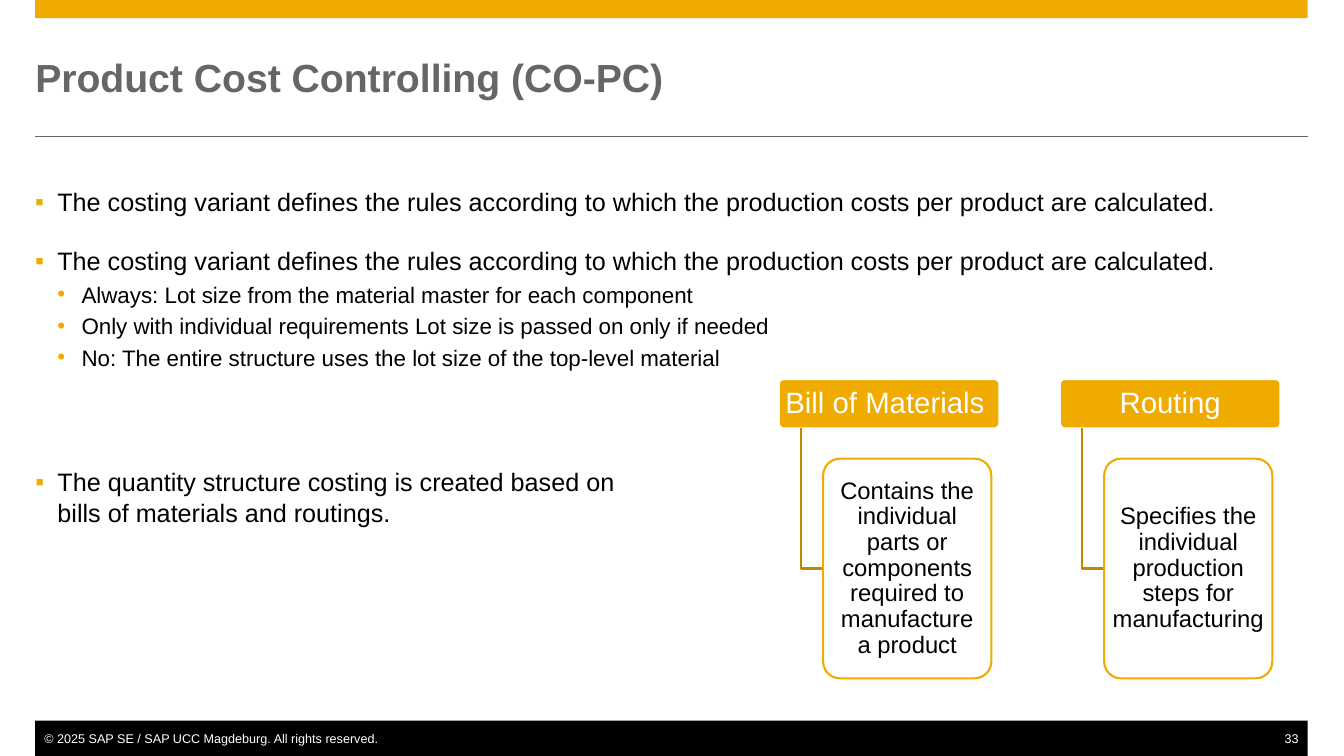
"""Build the Product Cost Controlling slide."""
from dataclasses import dataclass
from typing import Any

from lxml.etree import SubElement
from pptx import Presentation
from pptx.dml.color import RGBColor
from pptx.enum.shapes import MSO_CONNECTOR, MSO_SHAPE
from pptx.enum.text import MSO_ANCHOR, MSO_AUTO_SIZE, PP_ALIGN
from pptx.oxml.ns import qn
from pptx.util import Emu, Pt

EMU_PER_PX = 9144
LEFT, CONTENT_WIDTH = 35, 1263


@dataclass(frozen=True)
class Theme:
    """Colours, font and type sizes in points."""
    font: str = "Arial"
    accent: RGBColor = RGBColor(0xF0, 0xAB, 0x00)
    elbow: RGBColor = RGBColor(0xC0, 0x89, 0x00)
    grey: RGBColor = RGBColor(0x66, 0x66, 0x66)
    black: RGBColor = RGBColor(0, 0, 0)
    white: RGBColor = RGBColor(0xFF, 0xFF, 0xFF)
    title: float = 28
    header: float = 21
    body: float = 18
    detail: float = 17
    sub: float = 16
    footer: float = 9


@dataclass(frozen=True)
class Box:
    """A rectangle in px."""
    left: int
    top: int
    width: int
    height: int


@dataclass(frozen=True)
class Bullet:
    """A bulleted paragraph."""
    text: str
    level: int = 0
    space_before: float = 0


@dataclass(frozen=True)
class Source:
    """A headed card that feeds the quantity structure."""
    left: int
    heading: str
    detail: str


THEME = Theme()
COSTING_RULE = ("The costing variant defines the rules according to which "
                "the production costs per product are calculated.")
COSTING_BULLETS = (
    Bullet(COSTING_RULE),
    Bullet(COSTING_RULE, space_before=20.7),
    Bullet("Always: Lot size from the material master for each component", 1, 3.4),
    Bullet("Only with individual requirements Lot size is passed on only if needed", 1, 3.4),
    Bullet("No: The entire structure uses the lot size of the top-level material", 1, 3.4),
)
QUANTITY_BULLETS = (
    Bullet("The quantity structure costing is created based on bills of materials and routings."),
)
BULLET_STYLES = (("▪", 22, 22, THEME.body), ("•", 46, 24, THEME.sub))
SOURCES = (
    Source(773, "Bill of Materials ", "Contains the individual parts or components "
                                      "required to manufacture a product"),
    Source(1052, "Routing", "Specifies the individual production steps for manufacturing"),
)


def px(length: int) -> Emu:
    """Turn px into EMU."""
    return Emu(length * EMU_PER_PX)


def apply_format(target: Any, **values: Any) -> None:
    """Set each named attribute on the target."""
    for name, value in values.items():
        setattr(target, name, value)


def place(box: Box) -> tuple[Emu, Emu, Emu, Emu]:
    """Return the box as EMU lengths."""
    return px(box.left), px(box.top), px(box.width), px(box.height)


def set_frame(frame: Any, margin: int = 0, **values: Any) -> None:
    """Format a text frame with equal margins."""
    sides = dict.fromkeys(("margin_left", "margin_top", "margin_right", "margin_bottom"), px(margin))
    apply_format(frame, **{"auto_size": MSO_AUTO_SIZE.NONE, "word_wrap": True, **sides, **values})


def write(paragraph: Any, text: str, size: float, color: RGBColor, bold: bool = False) -> None:
    """Add one formatted run."""
    run = paragraph.add_run()
    run.text = text
    apply_format(run.font, name=THEME.font, size=Pt(size), bold=bold)
    run.font.color.rgb = color


def add_shape(slide: Any, kind: MSO_SHAPE, box: Box, fill: RGBColor, line: RGBColor | None = None) -> Any:
    """Add a filled preset shape."""
    shape = slide.shapes.add_shape(kind, *place(box))
    shape.shadow.inherit = False
    shape.fill.solid()
    shape.fill.fore_color.rgb = fill
    if line is None:
        shape.line.fill.background()
    else:
        shape.line.color.rgb = line
        shape.line.width = Pt(1.5)
    return shape


def add_card(slide: Any, box: Box, fill: RGBColor, line: RGBColor,
             text: str, size: float, color: RGBColor) -> None:
    """Add a rounded card with centred text."""
    card = add_shape(slide, MSO_SHAPE.ROUNDED_RECTANGLE, box, fill, line)
    card.adjustments[0] = 0.1
    set_frame(card.text_frame, 3, vertical_anchor=MSO_ANCHOR.MIDDLE)
    paragraph = card.text_frame.paragraphs[0]
    apply_format(paragraph, alignment=PP_ALIGN.CENTER, line_spacing=0.9)
    write(paragraph, text, size, color)


def add_source(slide: Any, source: Source) -> None:
    """Add a heading, its detail card and the elbow between them."""
    heading = Box(source.left, 376, 219, 49)
    detail = Box(source.left + 44, 455, 167, 218)
    elbow_left, elbow_top = source.left + 22, heading.top + heading.height
    elbow_bottom = detail.top + detail.height // 2
    add_card(slide, heading, THEME.accent, THEME.white, source.heading, THEME.header, THEME.white)
    builder = slide.shapes.build_freeform(elbow_left, elbow_top, scale=EMU_PER_PX)
    builder.add_line_segments([(elbow_left, elbow_bottom), (detail.left, elbow_bottom)], close=False)
    elbow = builder.convert_to_shape()
    elbow.shadow.inherit = False
    elbow.fill.background()
    elbow.line.color.rgb = THEME.elbow
    elbow.line.width = Pt(1.5)
    add_card(slide, detail, THEME.white, THEME.accent, source.detail, THEME.detail, THEME.black)


def add_bullets(slide: Any, box: Box, bullets: tuple[Bullet, ...]) -> None:
    """Add a text box of bulleted paragraphs."""
    frame = slide.shapes.add_textbox(*place(box)).text_frame
    set_frame(frame)
    for index, bullet in enumerate(bullets):
        paragraph = frame.add_paragraph() if index else frame.paragraphs[0]
        symbol, margin, hanging, size = BULLET_STYLES[bullet.level]
        paragraph.level = bullet.level
        properties = paragraph._p.get_or_add_pPr()
        properties.set("marL", str(px(margin)))
        properties.set("indent", str(-px(hanging)))
        color = SubElement(properties, qn("a:buClr"))
        SubElement(color, qn("a:srgbClr"), val=str(THEME.accent))
        SubElement(properties, qn("a:buFont"), typeface=THEME.font)
        SubElement(properties, qn("a:buChar"), char=symbol)
        if bullet.space_before:
            paragraph.space_before = Pt(bullet.space_before)
        write(paragraph, bullet.text, size, THEME.black)


def add_footer_text(slide: Any, box: Box, text: str, alignment: PP_ALIGN) -> None:
    """Add a line of footer text."""
    frame = slide.shapes.add_textbox(*place(box)).text_frame
    set_frame(frame, word_wrap=False, margin_left=px(9), margin_right=px(9))
    frame.paragraphs[0].alignment = alignment
    write(frame.paragraphs[0], text, THEME.footer, THEME.white)


def add_title(slide: Any, text: str) -> None:
    """Move and format the title placeholder."""
    title = slide.shapes.title
    left, top, width, height = place(Box(LEFT, 35, CONTENT_WIDTH, 83))
    apply_format(title, left=left, top=top, width=width, height=height)
    set_frame(title.text_frame, vertical_anchor=MSO_ANCHOR.MIDDLE)
    title.text_frame.paragraphs[0].alignment = PP_ALIGN.LEFT
    write(title.text_frame.paragraphs[0], text, THEME.title, THEME.grey, bold=True)


def main() -> None:
    """Build and save the presentation."""
    presentation = Presentation()
    apply_format(presentation, slide_width=px(1334), slide_height=px(750))
    slide = presentation.slides.add_slide(presentation.slide_layouts[5])
    add_shape(slide, MSO_SHAPE.RECTANGLE, Box(LEFT, 0, CONTENT_WIDTH, 18), THEME.accent)
    rule = slide.shapes.add_connector(MSO_CONNECTOR.STRAIGHT, px(LEFT), px(135),
                                      px(LEFT + CONTENT_WIDTH), px(135))
    rule.line.color.rgb = THEME.grey
    rule.line.width = Pt(0.5)
    SubElement(rule._element.spPr, qn("a:effectLst"))
    add_shape(slide, MSO_SHAPE.RECTANGLE, Box(LEFT, 715, CONTENT_WIDTH, 35), THEME.black)
    add_footer_text(slide, Box(LEFT, 725, 345, 15),
                    "© 2025 SAP SE / SAP UCC Magdeburg. All rights reserved.", PP_ALIGN.LEFT)
    add_footer_text(slide, Box(1263, 725, 35, 15), "33", PP_ALIGN.RIGHT)
    add_title(slide, "Product Cost Controlling (CO-PC)")
    add_bullets(slide, Box(LEFT, 185, CONTENT_WIDTH, 480), COSTING_BULLETS)
    for source in SOURCES:
        add_source(slide, source)
    add_bullets(slide, Box(LEFT, 463, 588, 202), QUANTITY_BULLETS)
    presentation.save("out.pptx")


if __name__ == "__main__":
    main()
